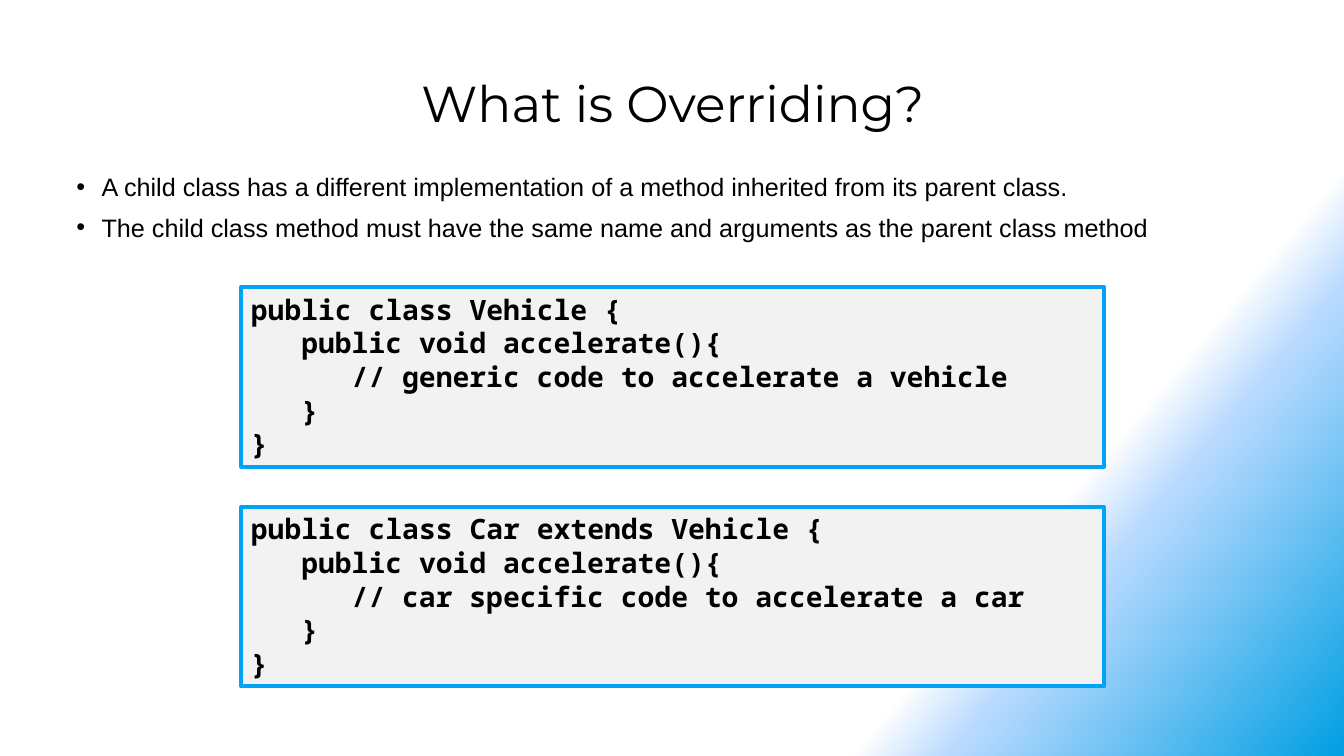
from lxml.etree import SubElement
from pptx import Presentation
from pptx.dml.color import RGBColor
from pptx.enum.shapes import MSO_SHAPE
from pptx.enum.text import MSO_ANCHOR, MSO_AUTO_SIZE, PP_ALIGN
from pptx.oxml.ns import qn
from pptx.util import Inches, Pt

BLACK = RGBColor(0x00, 0x00, 0x00)
CODE_FILL = RGBColor(0xF2, 0xF2, 0xF2)
CODE_BORDER = RGBColor(0x00, 0xA4, 0xF6)
WHITE = RGBColor(0xFF, 0xFF, 0xFF)
PALE_BLUE = RGBColor(0xB9, 0xDA, 0xFF)
BLUE = RGBColor(0x00, 0x9F, 0xE3)

TITLE = "What is Overriding?"
BULLETS = [
    "A child class has a different implementation of a method inherited from its parent class.",
    "The child class method must have the same name and arguments as the parent class method",
]
# Each code line is (nesting depth, text)
LISTINGS = [
    [
        (0, "public class Vehicle {"),
        (1, "public void accelerate(){"),
        (2, "// generic code to accelerate a vehicle"),
        (1, "}"),
        (0, "}"),
    ],
    [
        (0, "public class Car extends Vehicle {"),
        (1, "public void accelerate(){"),
        (2, "// car specific code to accelerate a car"),
        (1, "}"),
        (0, "}"),
    ],
]
# Each gradient stop is (position in percent, colour, opacity in percent)
GRADIENT = [(75, WHITE, 100), (80, PALE_BLUE, 50), (100, BLUE, 100)]
GRADIENT_ANGLE = 40

TEXT_LEFT, TEXT_WIDTH = 0.66, 12.03
CODE_LEFT, CODE_TOP, CODE_WIDTH, CODE_HEIGHT = 2.39, 2.85, 8.56, 1.78
CODE_PITCH = 2.18
CODE_INDENT = 0.5
BULLET_INDENT = 0.25


def place(shape, left, top, width, height):
    """Set a shape's position and size in inches."""
    shape.left, shape.top = Inches(left), Inches(top)
    shape.width, shape.height = Inches(width), Inches(height)


def format_text(para, font_name, size, bold=False):
    """Give every run of a paragraph its font."""
    for span in para.runs:
        span.font.name = font_name
        span.font.size = Pt(size)
        span.font.bold = bold
        span.font.color.rgb = BLACK


def set_indent(para, margin, first_line=0):
    """Set a paragraph's left margin and first-line offset in inches."""
    properties = para._p.get_or_add_pPr()
    properties.set("marL", str(Inches(margin)))
    properties.set("indent", str(Inches(first_line)))
    return properties


def paint_background(page):
    """Fill the page with the diagonal gradient."""
    fill = page.background.fill
    fill.gradient()
    fill.gradient_angle = -GRADIENT_ANGLE % 360
    stops = page.background._cSld.find(".//" + qn("a:gsLst"))
    for stop in list(stops):
        stops.remove(stop)
    for position, color, opacity in GRADIENT:
        stop = SubElement(stops, qn("a:gs"), pos=str(position * 1000))
        paint = SubElement(stop, qn("a:srgbClr"), val=str(color))
        if opacity < 100:
            SubElement(paint, qn("a:alpha"), val=str(opacity * 1000))


def add_title(page):
    """Place and format the title."""
    title = page.shapes.title
    place(title, TEXT_LEFT, 0.67, TEXT_WIDTH, 1.22)
    frame = title.text_frame
    frame.text = TITLE
    frame.vertical_anchor = MSO_ANCHOR.TOP
    para = frame.paragraphs[0]
    para.alignment = PP_ALIGN.CENTER
    format_text(para, "Montserrat", 36)


def add_bullets(page):
    """Add the bulleted definition."""
    box = page.shapes.add_textbox(0, 0, 0, 0)
    place(box, TEXT_LEFT, 1.63, TEXT_WIDTH, 4.4)
    frame = box.text_frame
    frame.word_wrap = True
    frame.text = "\n".join(BULLETS)
    for para in frame.paragraphs:
        para.space_after = Pt(6)
        para.line_spacing = 1.07
        properties = set_indent(para, BULLET_INDENT, -BULLET_INDENT)
        SubElement(properties, qn("a:buFont"), typeface="Arial")
        SubElement(properties, qn("a:buChar"), char="•")
        format_text(para, "Arial", 18)


def add_code(page, top, lines):
    """Add one framed code listing."""
    box = page.shapes.add_shape(MSO_SHAPE.RECTANGLE, 0, 0, 0, 0)
    place(box, CODE_LEFT, top, CODE_WIDTH, CODE_HEIGHT)
    box.shadow.inherit = False
    box.fill.solid()
    box.fill.fore_color.rgb = CODE_FILL
    box.line.color.rgb = CODE_BORDER
    box.line.width = Pt(3)
    frame = box.text_frame
    frame.word_wrap = True
    frame.auto_size = MSO_AUTO_SIZE.SHAPE_TO_FIT_TEXT
    frame.vertical_anchor = MSO_ANCHOR.TOP
    frame.text = "\n".join(text for _, text in lines)
    for para, (depth, _) in zip(frame.paragraphs, lines):
        para.alignment = PP_ALIGN.LEFT
        para.line_spacing = Pt(24)
        set_indent(para, depth * CODE_INDENT)
        format_text(para, "Noto Sans Mono", 20, bold=True)


deck = Presentation()
deck.slide_width, deck.slide_height = Inches(13.33), Inches(7.5)
page = deck.slides.add_slide(deck.slide_layouts[5])
paint_background(page)
add_title(page)
add_bullets(page)
for index, lines in enumerate(LISTINGS):
    add_code(page, CODE_TOP + index * CODE_PITCH, lines)
deck.save("out.pptx")
